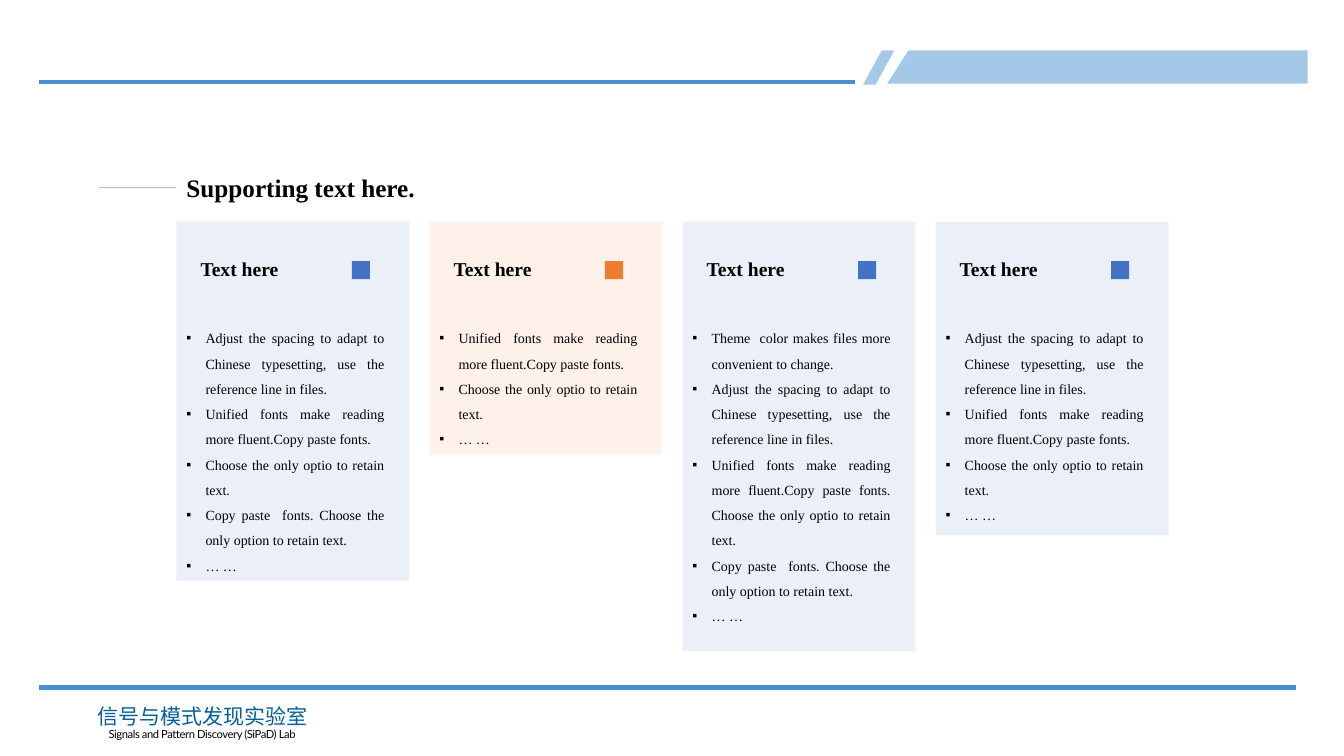
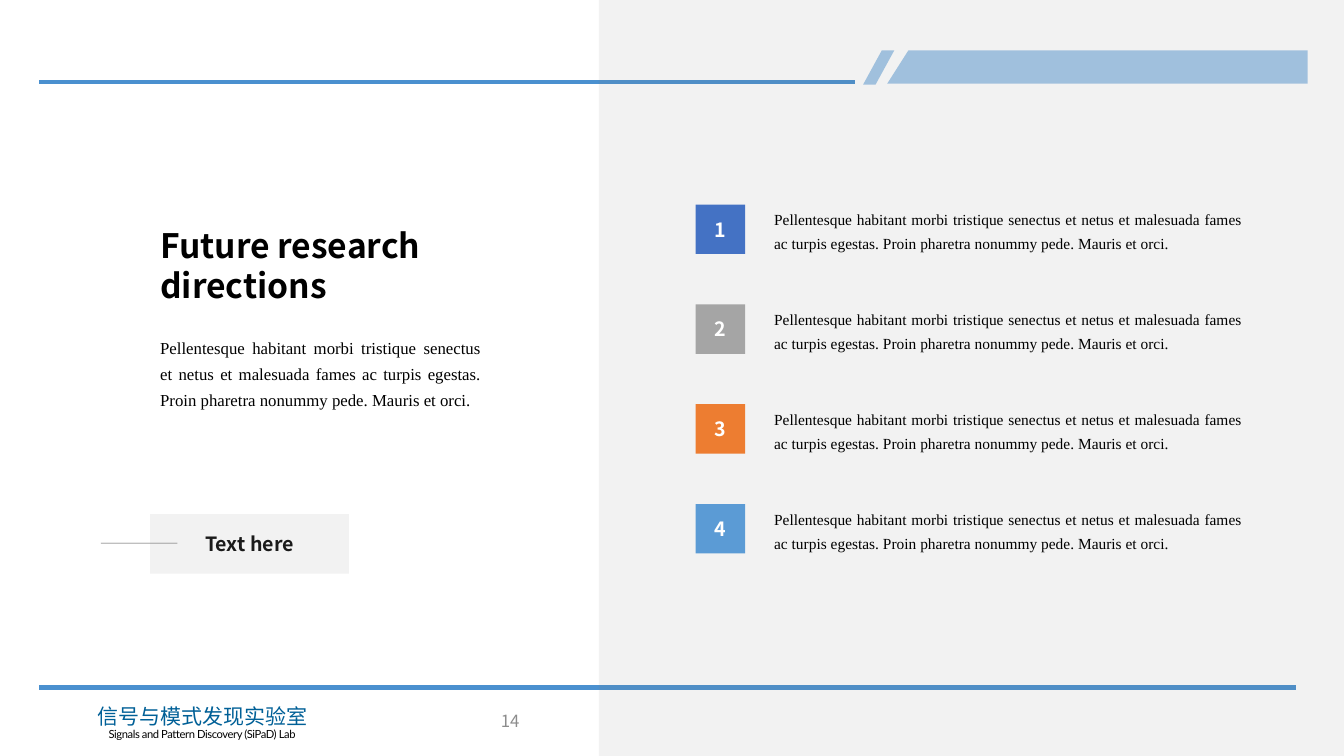
"""Build two lab slides: four text cards and a list of research directions."""
from dataclasses import dataclass

from lxml.etree import SubElement
from pptx import Presentation
from pptx.dml.color import RGBColor
from pptx.enum.shapes import MSO_CONNECTOR, MSO_SHAPE
from pptx.enum.text import MSO_ANCHOR, PP_ALIGN
from pptx.oxml.ns import qn
from pptx.shapes.autoshape import Shape
from pptx.shapes.connector import Connector
from pptx.slide import Slide
from pptx.util import Inches, Pt


@dataclass(frozen=True)
class Theme:
    """Colours, fonts and type sizes of the deck."""
    black: str = "000000"
    white: str = "FFFFFF"
    ink: str = "1A1A1A"
    grey: str = "808080"
    page_grey: str = "8C8C8C"
    silver: str = "A5A5A5"
    rule: str = "4A90CF"
    band: str = "3786CD"
    lab: str = "006097"
    blue: str = "4472C4"
    orange: str = "ED7D31"
    sky: str = "5B9BD5"
    serif: str = "Times New Roman"
    sans: str = "Noto Sans CJK SC"
    latin: str = "Lato"
    headline: int = 24
    title: int = 18
    lab_name: int = 15
    label: int = 14
    body: int = 12
    item: int = 11
    bullet: int = 10
    caption: int = 8
    tint: int = 10
    band_alpha: int = 45
    line_alpha: int = 50


THEME = Theme()


@dataclass(frozen=True)
class Box:
    """Position and size in inches."""
    left: float
    top: float
    width: float
    height: float

    def lengths(self) -> tuple[int, ...]:
        """Return the four values as lengths."""
        return tuple(Inches(v) for v in (self.left, self.top, self.width, self.height))


@dataclass(frozen=True)
class TextStyle:
    """Character and paragraph format of one text."""
    size: int
    font: str = THEME.serif
    color: str = THEME.black
    bold: bool = False
    align: PP_ALIGN = PP_ALIGN.LEFT
    anchor: MSO_ANCHOR = MSO_ANCHOR.TOP
    spacing: float = 1.0
    bulleted: bool = False
    tracking: float = 0
    wrap: bool = True


@dataclass(frozen=True)
class Card:
    """A tinted column with its bullets."""
    color: str
    height: float
    bullets: tuple[str, ...]


CENTER, JUSTIFY = PP_ALIGN.CENTER, PP_ALIGN.JUSTIFY
MIDDLE, BOTTOM = MSO_ANCHOR.MIDDLE, MSO_ANCHOR.BOTTOM

LAB_NAME = TextStyle(THEME.lab_name, THEME.sans, THEME.lab, align=CENTER)
LAB_CAPTION = TextStyle(THEME.caption, THEME.latin, align=CENTER, tracking=-0.3)
PAGE_NUMBER = TextStyle(THEME.body, THEME.sans, THEME.page_grey, align=PP_ALIGN.RIGHT, anchor=MIDDLE)
SECTION_TITLE = TextStyle(THEME.title, bold=True, anchor=BOTTOM)
CARD_TITLE = TextStyle(THEME.label, bold=True)
CARD_BULLET = TextStyle(THEME.bullet, align=JUSTIFY, spacing=1.5, bulleted=True)
HEADLINE = TextStyle(THEME.headline, THEME.sans, bold=True, anchor=BOTTOM)
INTRO = TextStyle(THEME.body, align=JUSTIFY, spacing=1.3)
DIRECTION = TextStyle(THEME.item, align=JUSTIFY, anchor=MIDDLE, spacing=1.3)
TAG = TextStyle(THEME.label, THEME.sans, THEME.ink, bold=True, align=CENTER, anchor=MIDDLE)
BADGE = TextStyle(THEME.label, THEME.sans, THEME.white, bold=True, align=CENTER, anchor=MIDDLE, wrap=False)

SPACING = "Adjust the spacing to adapt to Chinese typesetting, use the reference line in files."
FONTS = "Unified fonts make reading more fluent.Copy paste fonts."
CHOOSE = "Choose the only optio to retain text."
COPY = "Copy paste  fonts. Choose the only option to retain text."
MORE = "… …"
CARDS = (
    Card(THEME.blue, 3.56, (SPACING, FONTS, CHOOSE, COPY, MORE)),
    Card(THEME.orange, 2.31, (FONTS, CHOOSE, MORE)),
    Card(THEME.blue, 4.26, ("Theme  color makes files more convenient to change.",
                            SPACING, f"{FONTS} {CHOOSE}", COPY, MORE)),
    Card(THEME.blue, 3.11, (SPACING, FONTS, CHOOSE, MORE)),
)
CARD_LEFT, CARD_TOP, CARD_WIDTH, CARD_PITCH = 1.75, 2.2, 2.31, 2.51

LOREM = ("Pellentesque habitant morbi tristique senectus et netus et malesuada fames "
         "ac turpis egestas. Proin pharetra nonummy pede. Mauris et orci.")
BADGE_COLORS = (THEME.blue, THEME.silver, THEME.orange, THEME.sky)
DIRECTION_TOP, DIRECTION_PITCH = 1.99, 0.99


def set_alpha(properties, percent: int) -> None:
    """Make the colours under an element partly transparent."""
    for color in properties.iter(qn("a:srgbClr")):
        SubElement(color, qn("a:alpha")).set("val", str(percent * 1000))


def paint(shape: Shape, color: str, alpha: int = 100) -> Shape:
    """Give a shape a flat fill with no outline or shadow."""
    shape.shadow.inherit = False
    shape.fill.solid()
    shape.fill.fore_color.rgb = RGBColor.from_string(color)
    shape.line.fill.background()
    if alpha < 100:
        set_alpha(shape.element.spPr, alpha)
    return shape


def add_block(slide: Slide, box: Box, color: str, alpha: int = 100,
              preset: MSO_SHAPE = MSO_SHAPE.RECTANGLE) -> Shape:
    """Draw a filled preset shape."""
    return paint(slide.shapes.add_shape(preset, *box.lengths()), color, alpha)


def add_rule(slide: Slide, left: float, right: float, top: float, color: str,
             width: float, alpha: int = 100) -> Connector:
    """Draw a horizontal line."""
    rule = slide.shapes.add_connector(
        MSO_CONNECTOR.STRAIGHT, Inches(left), Inches(top), Inches(right), Inches(top))
    rule.line.color.rgb = RGBColor.from_string(color)
    rule.line.width = Pt(width)
    properties = rule.element.spPr
    if alpha < 100:
        set_alpha(properties, alpha)
    SubElement(properties, qn("a:effectLst"))
    return rule


def write(shape: Shape, style: TextStyle, *texts: str) -> Shape:
    """Fill a shape with one paragraph for each text."""
    frame = shape.text_frame
    frame.word_wrap = style.wrap
    frame.vertical_anchor = style.anchor
    font_format = {"size": Pt(style.size), "bold": style.bold, "name": style.font}
    paragraph_format = {"alignment": style.align, "line_spacing": style.spacing}
    for index, text in enumerate(texts):
        paragraph = frame.add_paragraph() if index else frame.paragraphs[0]
        for name, value in paragraph_format.items():
            setattr(paragraph, name, value)
        if style.bulleted:
            properties = paragraph._p.get_or_add_pPr()
            properties.set("marL", str(Inches(0.19)))
            properties.set("indent", str(Inches(-0.19)))
            SubElement(properties, qn("a:buFont")).set("typeface", style.font)
            SubElement(properties, qn("a:buChar")).set("char", "▪")
        run = paragraph.add_run()
        run.text = text
        for name, value in font_format.items():
            setattr(run.font, name, value)
        run.font.color.rgb = RGBColor.from_string(style.color)
        run_properties = run._r.get_or_add_rPr()
        SubElement(run_properties, qn("a:ea")).set("typeface", style.font)
        if style.tracking:
            run_properties.set("spc", str(round(style.tracking * 100)))
    return shape


def add_text(slide: Slide, box: Box, style: TextStyle, *texts: str) -> Shape:
    """Place a text box."""
    return write(slide.shapes.add_textbox(*box.lengths()), style, *texts)


def add_frame(slide: Slide) -> None:
    """Draw the rules, the header band and the lab footer."""
    add_rule(slide, 0.39, 12.85, 6.82, THEME.rule, 3)
    outline = slide.shapes.build_freeform(Inches(9.01), Inches(0.5))
    outline.add_line_segments(
        [(Inches(x), Inches(y)) for x, y in ((12.97, 0.5), (12.97, 0.83), (8.8, 0.83))])
    paint(outline.convert_to_shape(), THEME.band, THEME.band_alpha)
    slash = add_block(slide, Box(8.56, 0.5, 0.31, 0.34), THEME.band,
                      THEME.band_alpha, MSO_SHAPE.PARALLELOGRAM)
    slash.adjustments[0] = 0.6
    add_rule(slide, 0.39, 8.48, 0.81, THEME.rule, 3)
    add_text(slide, Box(0.86, 6.93, 2.29, 0.35), LAB_NAME, "信号与模式发现实验室")
    add_text(slide, Box(0.63, 7.17, 2.75, 0.24), LAB_CAPTION,
             "Signals and Pattern Discovery (SiPaD) Lab")


def build_cards(slide: Slide) -> None:
    """Lay out the supporting text and its four cards."""
    lead = add_rule(slide, 0.98, 1.75, 1.86, THEME.grey, 1, THEME.line_alpha)
    title = add_text(slide, Box(1.75, 1.66, 3.38, 0.4), SECTION_TITLE, "Supporting text here.")
    lead.end_connect(title, 1)
    for index, card in enumerate(CARDS):
        left = CARD_LEFT + index * CARD_PITCH
        add_block(slide, Box(left, CARD_TOP, CARD_WIDTH, card.height), card.color, THEME.tint)
        add_text(slide, Box(left, 3.14, 2.16, card.height - 0.97), CARD_BULLET, *card.bullets)
        add_text(slide, Box(left + 0.14, 2.5, 2.02, 0.34), CARD_TITLE, "Text here")
        add_block(slide, Box(left + 1.74, 2.59, 0.18, 0.18), card.color)


def build_directions(slide: Slide) -> None:
    """Lay out the headline and the numbered directions."""
    add_text(slide, Box(4.15, 6.95, 1.1, 0.4), PAGE_NUMBER, "14")
    add_block(slide, Box(5.94, 0, 7.4, 7.5), THEME.grey, THEME.tint)
    write(add_block(slide, Box(1.49, 5.1, 1.97, 0.59), THEME.grey, THEME.tint), TAG, "Text here")
    add_rule(slide, 1, 1.76, 5.39, THEME.grey, 1, THEME.line_alpha)
    add_text(slide, Box(1.49, 2.17, 3.38, 0.91), HEADLINE, "Future research directions")
    add_text(slide, Box(1.49, 3.24, 3.38, 0.86), INTRO, LOREM)
    for index, color in enumerate(BADGE_COLORS):
        top = DIRECTION_TOP + index * DIRECTION_PITCH
        add_text(slide, Box(7.58, top, 4.84, 0.56), DIRECTION, LOREM)
        badge = add_block(slide, Box(6.9, top + 0.04, 0.49, 0.49), color)
        write(badge, BADGE, str(index + 1))


def main() -> None:
    """Create and save the deck."""
    deck = Presentation()
    deck.slide_width, deck.slide_height = Inches(13.33), Inches(7.5)
    for build in (build_cards, build_directions):
        slide = deck.slides.add_slide(deck.slide_layouts[6])
        add_frame(slide)
        build(slide)
    deck.save("out.pptx")


if __name__ == "__main__":
    main()
